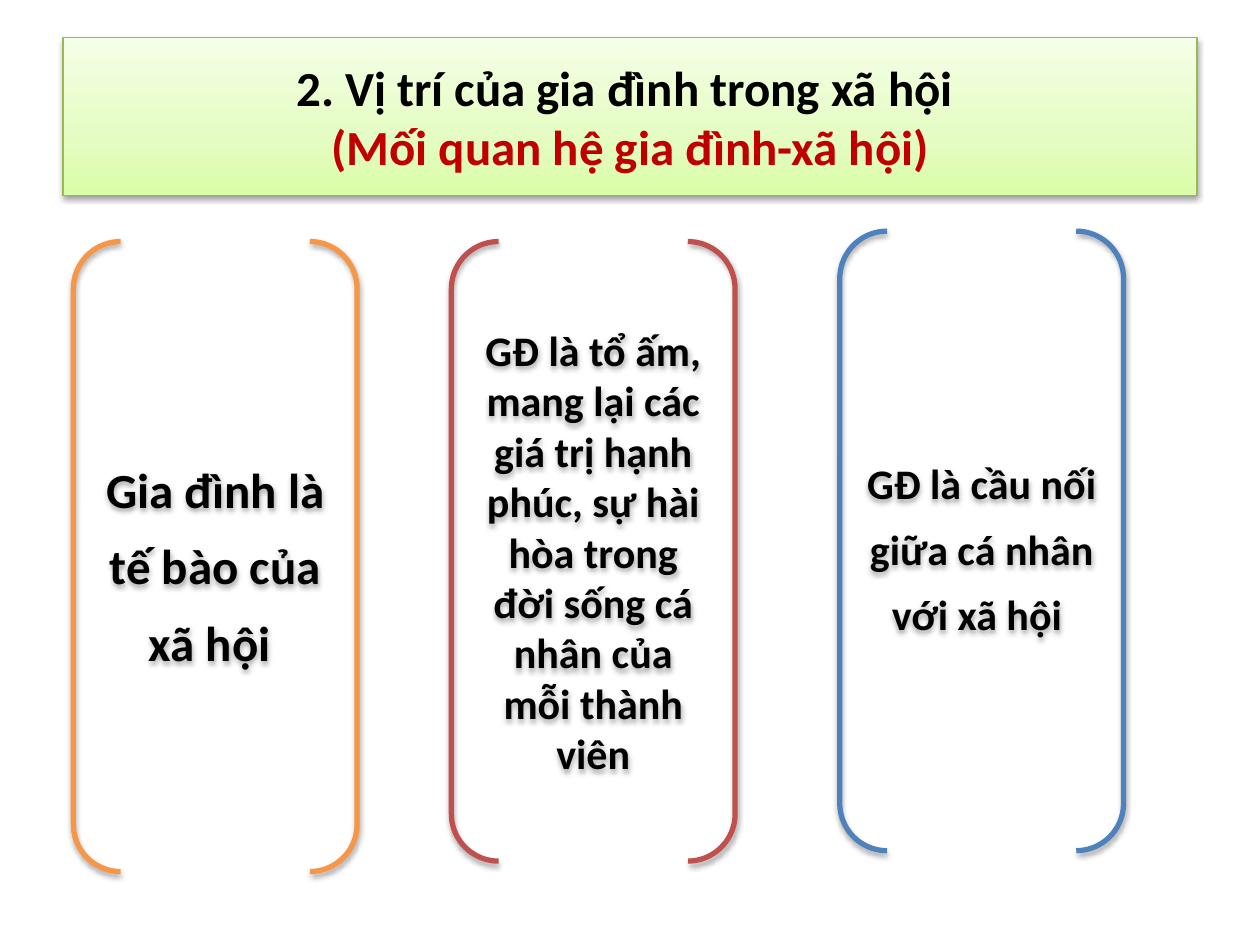
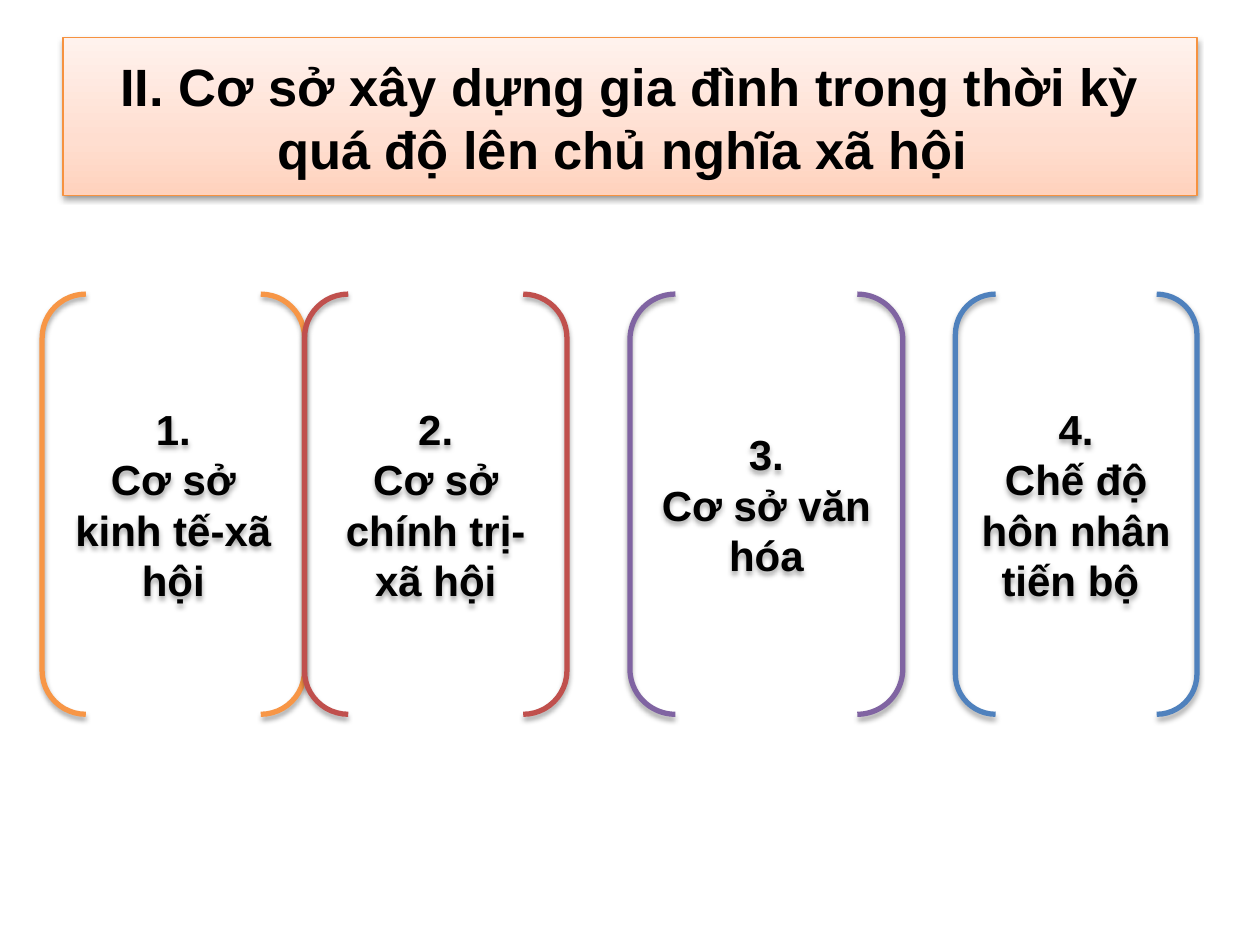
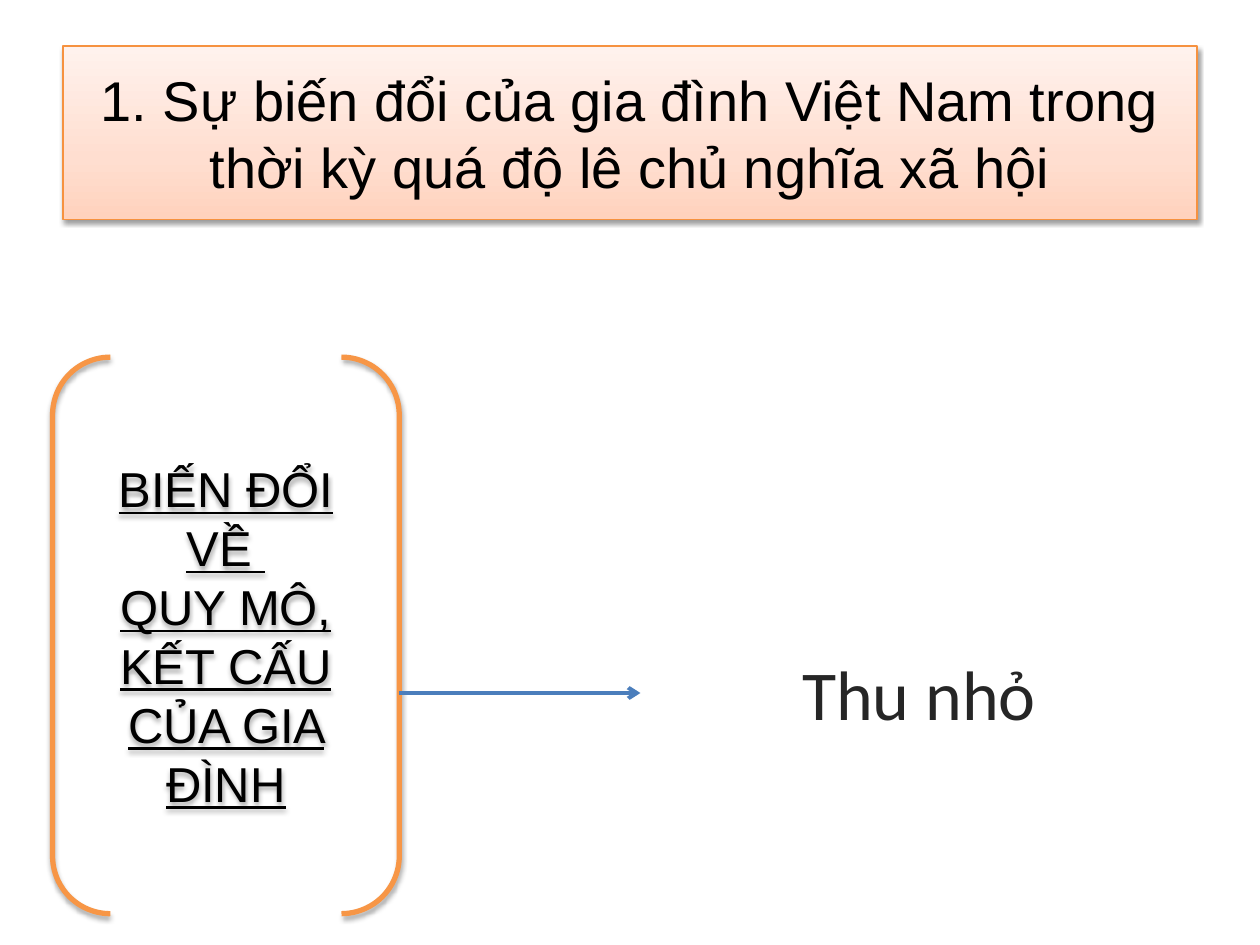
from dataclasses import dataclass

from lxml.etree import SubElement
from pptx import Presentation
from pptx.dml.color import RGBColor
from pptx.enum.shapes import MSO_CONNECTOR, MSO_SHAPE
from pptx.enum.text import MSO_ANCHOR, MSO_AUTO_SIZE, PP_ALIGN
from pptx.oxml.ns import qn
from pptx.util import Cm, Pt


@dataclass(frozen=True)
class Theme:
    black: str = "000000"
    dark: str = "262626"
    red: str = "C00000"
    arrow: str = "4B7EBC"
    orange: str = "F79646"
    brick: str = "C0504D"
    purple: str = "8064A2"
    blue: str = "4F81BD"
    green_band: tuple = ("98B955", ("DAFDA7", "E4FCC2", "F5FFE7"))
    peach_band: tuple = ("F69240", ("FFD2BD", "FFDED0", "FFF2ED"))
    band_stops: tuple = (0, 35, 100)
    band_line: float = 0.75
    bracket_line: float = 3
    arrow_line: float = 2.25
    band_shadow: tuple = (38, 1.6)
    bracket_shadow: tuple = (35, 1.8)
    blur: float = 3.1
    body: int = 24
    large: int = 28
    heading: int = 30
    display: int = 32
    callout: int = 40


T = Theme()

SLIDES = [
    dict(
        title=[("2. Vị trí của gia đình trong xã hội \v", T.black),
               ("(Mối quan hệ gia đình-xã hội)", T.red)],
        band=T.green_band, top=0.76, height=3.18,
        title_format=dict(size=T.large, font="Calibri", bold=True),
        format=dict(font="Calibri", bold=True),
        brackets=[
            ((1.48, 4.87, 5.72, 12.7), T.orange, ["Gia đình là tế bào của xã hội "],
             dict(size=T.large, spacing=1.3)),
            ((9.1, 4.87, 5.72, 12.49), T.brick,
             ["GĐ là tổ ấm, mang lại các giá trị hạnh phúc, sự hài hòa trong "
              "đời sống cá nhân của mỗi thành viên"], dict(size=T.body)),
            ((16.93, 4.66, 5.72, 12.49), T.blue, ["GĐ là cầu nối giữa cá nhân với xã hội "],
             dict(size=T.body, spacing=1.3)),
        ],
    ),
    dict(
        title=[("II. Cơ sở xây dựng gia đình trong thời kỳ quá độ lên chủ nghĩa xã hội ", T.black)],
        band=T.peach_band, top=0.76, height=3.18,
        title_format=dict(size=T.heading, font="Arial", bold=True),
        format=dict(size=T.body, font="Arial", bold=True),
        brackets=[
            ((x, 5.93, w, 8.47), color, [f"{n}.", text], {})
            for n, (x, w, color, text) in enumerate([
                (0.85, 5.29, T.orange, "Cơ sở kinh tế-xã hội"),
                (6.14, 5.29, T.brick, "Cơ sở chính trị-xã hội"),
                (12.7, 5.5, T.purple, "Cơ sở văn hóa"),
                (19.26, 4.87, T.blue, "Chế độ hôn nhân tiến bộ "),
            ], 1)
        ],
    ),
    dict(
        title=[("1. Sự biến đổi của gia đình Việt Nam trong thời kỳ quá độ lê chủ nghĩa xã hội", T.black)],
        band=T.peach_band, top=0.93, height=3.49,
        title_format=dict(size=T.display, font="Arial", bold=False),
        format=dict(size=T.large, font="Arial", underline=True),
        brackets=[
            ((1.06, 7.2, 6.99, 11.22), T.orange,
             ["BIẾN ĐỔI VỀ ", "QUY MÔ, KẾT CẤU CỦA GIA ĐÌNH"], {}),
        ],
        callout=("Thu nhỏ", (12.28, 10.16, 12.49, 7.62)),
        arrow=(8.05, 12.91, 13.97),
    ),
]


def rgb(color):
    return RGBColor.from_string(color)


def write(tf, paragraphs, *, size, font, bold=False, underline=False, spacing=None):
    tf.word_wrap = True
    tf.auto_size = MSO_AUTO_SIZE.NONE
    tf.vertical_anchor = MSO_ANCHOR.MIDDLE
    for i, runs in enumerate(paragraphs):
        p = tf.add_paragraph() if i else tf.paragraphs[0]
        p.alignment = PP_ALIGN.CENTER
        if spacing:
            p.line_spacing = spacing
        for text, color in runs:
            r = p.add_run()
            r.text = text.rstrip("\v")
            r.font.size = Pt(size)
            r.font.name = font
            r.font.bold = bold
            r.font.underline = underline
            r.font.color.rgb = rgb(color)
            if text.endswith("\v"):
                p.add_line_break()


def place(sp, box):
    sp.left, sp.top, sp.width, sp.height = (Cm(v) for v in box)


def outline(sp, color, width):
    sp.line.color.rgb = rgb(color)
    sp.line.width = Pt(width)


def add_shadow(sp, alpha, distance):
    sp.shadow.inherit = False
    effects = sp._element.spPr.find(qn("a:effectLst"))
    shadow = SubElement(effects, qn("a:outerShdw"), blurRad=str(Pt(T.blur)),
                        dist=str(Pt(distance)), dir="5400000", rotWithShape="0")
    color = SubElement(shadow, qn("a:srgbClr"), val=T.black)
    SubElement(color, qn("a:alpha"), val=str(alpha * 1000))


def fill_band(sp, colors):
    sp.fill.gradient()
    sp.fill.gradient_angle = 90
    stops = sp._element.spPr.find(qn("a:gradFill")).find(qn("a:gsLst"))
    for stop in list(stops):
        stops.remove(stop)
    for position, color in zip(T.band_stops, colors):
        stop = SubElement(stops, qn("a:gs"), pos=str(position * 1000))
        SubElement(stop, qn("a:srgbClr"), val=color)


def add_title(s, data):
    sp = s.shapes.title
    place(sp, (1.27, data["top"], 22.86, data["height"]))
    line, colors = data["band"]
    fill_band(sp, colors)
    outline(sp, line, T.band_line)
    add_shadow(sp, *T.band_shadow)
    write(sp.text_frame, [data["title"]], **data["title_format"])


def add_bracket(s, box, color, lines, **fmt):
    sp = s.shapes.add_shape(MSO_SHAPE.DOUBLE_BRACKET, *(Cm(v) for v in box))
    sp.fill.background()
    outline(sp, color, T.bracket_line)
    add_shadow(sp, *T.bracket_shadow)
    write(sp.text_frame, [[(line, T.black)] for line in lines], **fmt)


def add_callout(s, text, box):
    sp = s.shapes.add_shape(MSO_SHAPE.ROUNDED_RECTANGLE, *(Cm(v) for v in box))
    sp.fill.background()
    sp.line.fill.background()
    sp.shadow.inherit = False
    write(sp.text_frame, [[(text, T.dark)]], size=T.callout, font="Calibri")


def add_arrow(s, x1, x2, y):
    sp = s.shapes.add_connector(MSO_CONNECTOR.STRAIGHT, Cm(x1), Cm(y), Cm(x2), Cm(y))
    outline(sp, T.arrow, T.arrow_line)
    SubElement(sp.line._get_or_add_ln(), qn("a:tailEnd"), type="arrow")
    SubElement(sp._element.spPr, qn("a:effectLst"))


def main():
    prs = Presentation()
    prs.slide_width, prs.slide_height = Cm(25.4), Cm(19.05)
    for data in SLIDES:
        s = prs.slides.add_slide(prs.slide_layouts[5])
        add_title(s, data)
        for box, color, lines, fmt in data["brackets"]:
            add_bracket(s, box, color, lines, **{**data["format"], **fmt})
        if "callout" in data:
            add_callout(s, *data["callout"])
        if "arrow" in data:
            add_arrow(s, *data["arrow"])
    prs.save("out.pptx")


if __name__ == "__main__":
    main()
